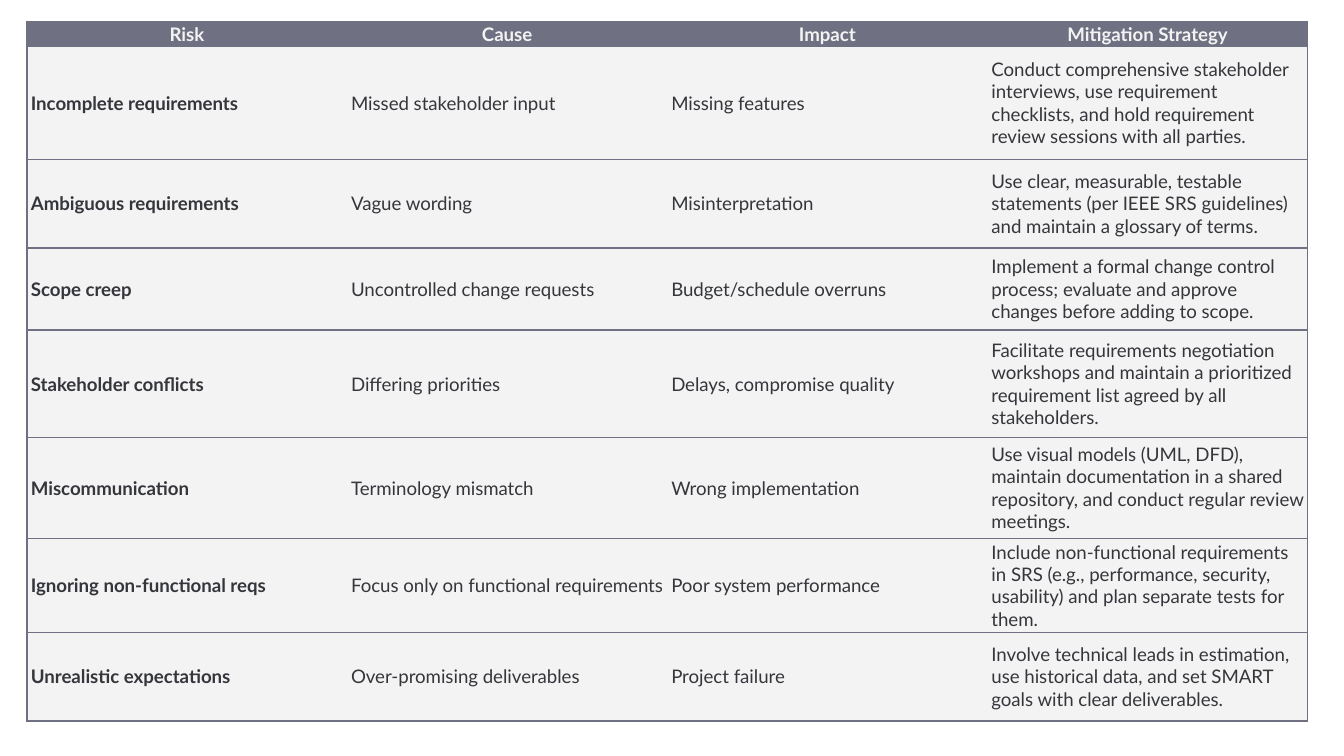
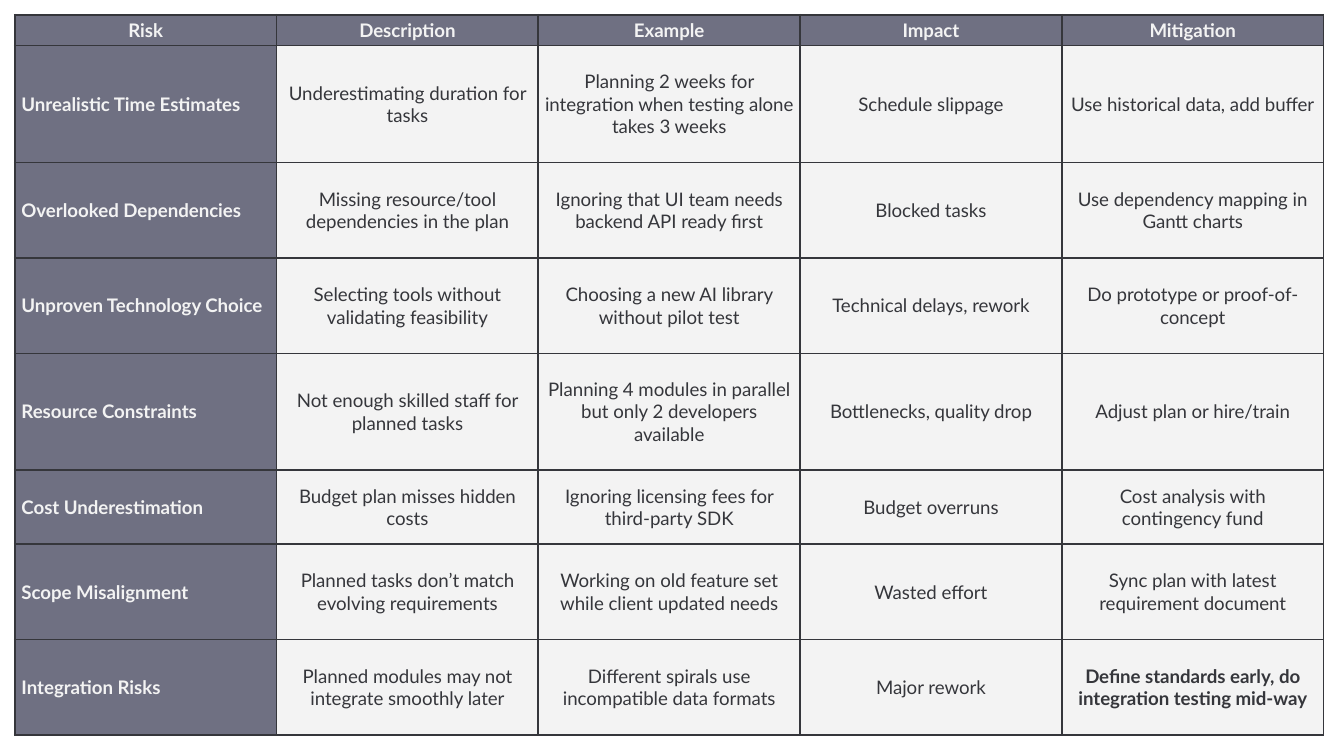
from lxml.etree import SubElement as Sub
from pptx import Presentation
from pptx.dml.color import RGBColor as Rgb
from pptx.enum.text import MSO_ANCHOR as Anchor, PP_ALIGN as Align
from pptx.oxml.ns import qn
from pptx.util import Inches, Pt

INK = {"slate": "6F7082", "pale": "F3F3F3", "dark": "35363B"}

REQS = [
    ("Risk", "Cause", "Impact", "Mitigation Strategy"),
    ("Incomplete requirements", "Missed stakeholder input", "Missing features",
     "Conduct comprehensive stakeholder interviews, use requirement checklists, "
     "and hold requirement review sessions with all parties."),
    ("Ambiguous requirements", "Vague wording", "Misinterpretation",
     "Use clear, measurable, testable statements (per IEEE SRS guidelines) "
     "and maintain a glossary of terms."),
    ("Scope creep", "Uncontrolled change requests", "Budget/schedule overruns",
     "Implement a formal change control process; evaluate and approve changes "
     "before adding to scope."),
    ("Stakeholder conflicts", "Differing priorities", "Delays, compromise quality",
     "Facilitate requirements negotiation workshops and maintain a prioritized "
     "requirement list agreed by all stakeholders."),
    ("Miscommunication", "Terminology mismatch", "Wrong implementation",
     "Use visual models (UML, DFD), maintain documentation in a shared "
     "repository, and conduct regular review meetings."),
    ("Ignoring non-functional reqs", "Focus only on functional requirements",
     "Poor system performance",
     "Include non-functional requirements in SRS (e.g., performance, security, "
     "usability) and plan separate tests for them."),
    ("Unrealistic expectations", "Over-promising deliverables", "Project failure",
     "Involve technical leads in estimation, use historical data, and set SMART "
     "goals with clear deliverables."),
]

PLANS = [
    ("Risk", "Description", "Example", "Impact", "Mitigation"),
    ("Unrealistic Time Estimates", "Underestimating duration for tasks",
     "Planning 2 weeks for integration when testing alone takes 3 weeks",
     "Schedule slippage", "Use historical data, add buffer"),
    ("Overlooked Dependencies", "Missing resource/tool dependencies in the plan",
     "Ignoring that UI team needs backend API ready first",
     "Blocked tasks", "Use dependency mapping in Gantt charts"),
    ("Unproven Technology Choice", "Selecting tools without validating feasibility",
     "Choosing a new AI library without pilot test",
     "Technical delays, rework", "Do prototype or proof-of-concept"),
    ("Resource Constraints", "Not enough skilled staff for planned tasks",
     "Planning 4 modules in parallel but only 2 developers available",
     "Bottlenecks, quality drop", "Adjust plan or hire/train"),
    ("Cost Underestimation", "Budget plan misses hidden costs",
     "Ignoring licensing fees for third-party SDK",
     "Budget overruns", "Cost analysis with contingency fund"),
    ("Scope Misalignment", "Planned tasks don’t match evolving requirements",
     "Working on old feature set while client updated needs",
     "Wasted effort", "Sync plan with latest requirement document"),
    ("Integration Risks", "Planned modules may not integrate smoothly later",
     "Different spirals use incompatible data formats",
     "Major rework", "Define standards early, do integration testing mid-way"),
]


class Deck:
    """Hold the shared table style and the current slide."""

    def __init__(self):
        self.prs = Presentation()
        self.prs.slide_width = Inches(10)
        self.prs.slide_height = Inches(10 * 9 / 16)
        self.font, self.size = "Lato", Pt(10)

    def page(self):
        self.slide = self.prs.slides.add_slide(self.prs.slide_layouts[6])

    def edge(self, cell, sides, ink):
        props = cell._tc.get_or_add_tcPr()
        for side in "LRTB":
            line = Sub(props, qn(f"a:ln{side}"), w=str(Pt(1)))
            if side in sides:
                fill = Sub(line, qn("a:solidFill"))
                Sub(fill, qn("a:srgbClr"), val=INK[ink])
            else:
                Sub(line, qn("a:noFill"))

    def cell(self, cell, text, pad, fill, ink, bold, align):
        cell.fill.solid()
        cell.fill.fore_color.rgb = Rgb.from_string(INK[fill])
        cell.vertical_anchor = Anchor.MIDDLE
        cell.margin_left = cell.margin_right = Inches(pad[0])
        cell.margin_top = cell.margin_bottom = Inches(pad[1])
        cell.text = text
        para = cell.text_frame.paragraphs[0]
        para.alignment = align
        font = para.font
        font.name, font.size, font.bold = self.font, self.size, bold
        font.color.rgb = Rgb.from_string(INK[ink])

    def table(self, rows, box, highs, pad, line, grid):
        last, end = len(rows[0]) - 1, len(rows) - 1
        frame = self.slide.shapes.add_table(
            len(rows), last + 1, *(Inches(n) for n in box))
        table = frame.table
        table.first_row = table.horz_banding = False
        for row, high in zip(table.rows, highs):
            row.height = Inches(high)
        frame.height = Inches(box[3])
        for r, row in enumerate(rows):
            for c, text in enumerate(row):
                cell = table.cell(r, c)
                left, right = grid or c == 0, grid or c == last
                self.edge(cell, "TB" + "L" * left + "R" * right, line)
                head = r == 0 or (grid and c == 0)
                bold = head or c == 0 or (grid and r == end and c == last)
                mid = r == 0 or (grid and c > 0)
                self.cell(cell, text, pad, "slate" if head else "pale",
                          "pale" if head else "dark", bold,
                          Align.CENTER if mid else Align.LEFT)

    def save(self):
        self.prs.save("out.pptx")


def main():
    deck = Deck()
    deck.page()
    deck.table(REQS, (0.2, 0.16, 9.53, 5.22),
               (0.15, 0.84, 0.66, 0.61, 0.8, 0.75, 0.7, 0.66),
               (0.03, 0.01), "slate", grid=False)
    deck.page()
    deck.table(PLANS, (0.11, 0.11, 9.74, 5.36),
               (0.23, 0.87, 0.71, 0.71, 0.87, 0.55, 0.71, 0.71),
               (0.05, 0.02), "dark", grid=True)
    deck.save()


if __name__ == "__main__":
    main()
